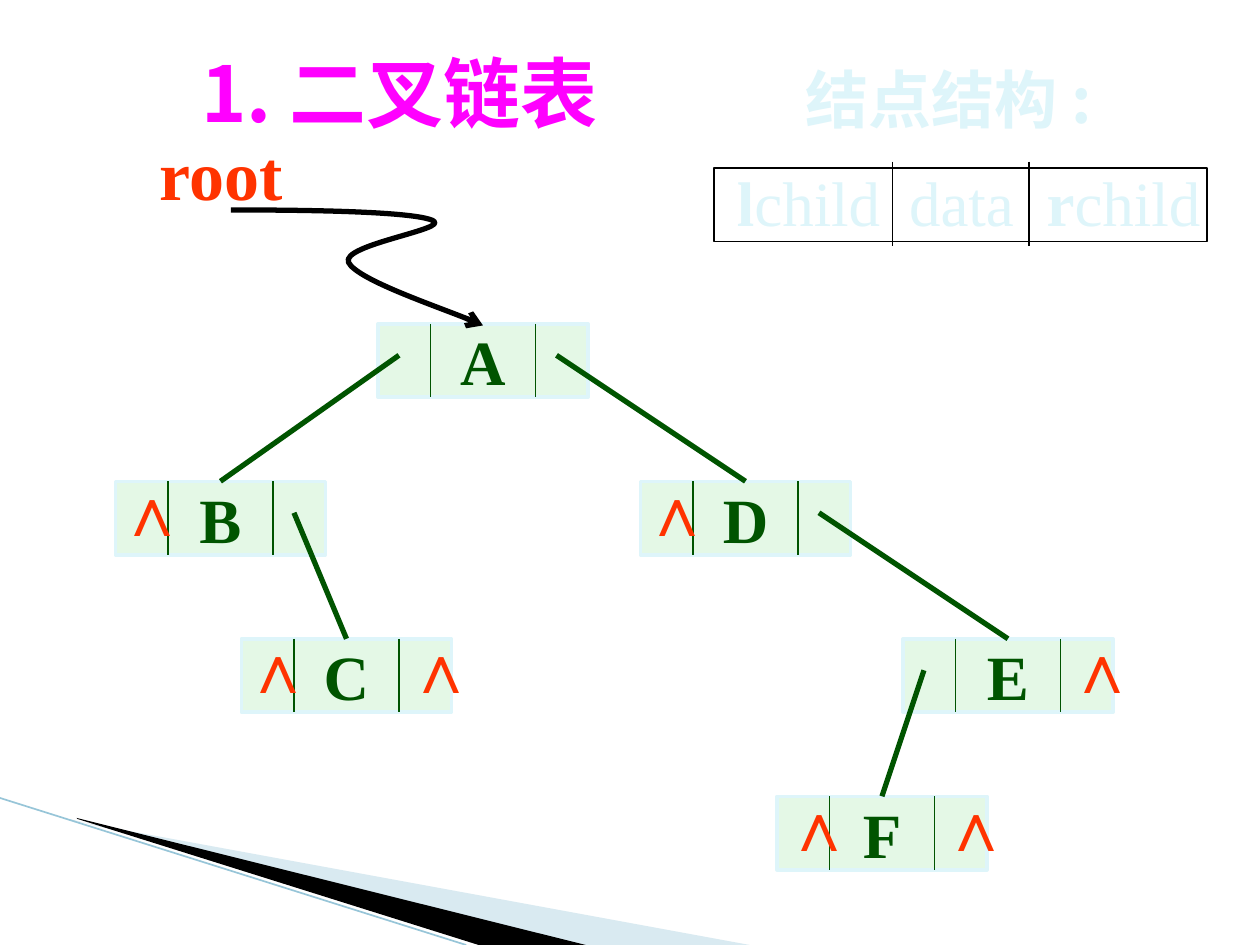
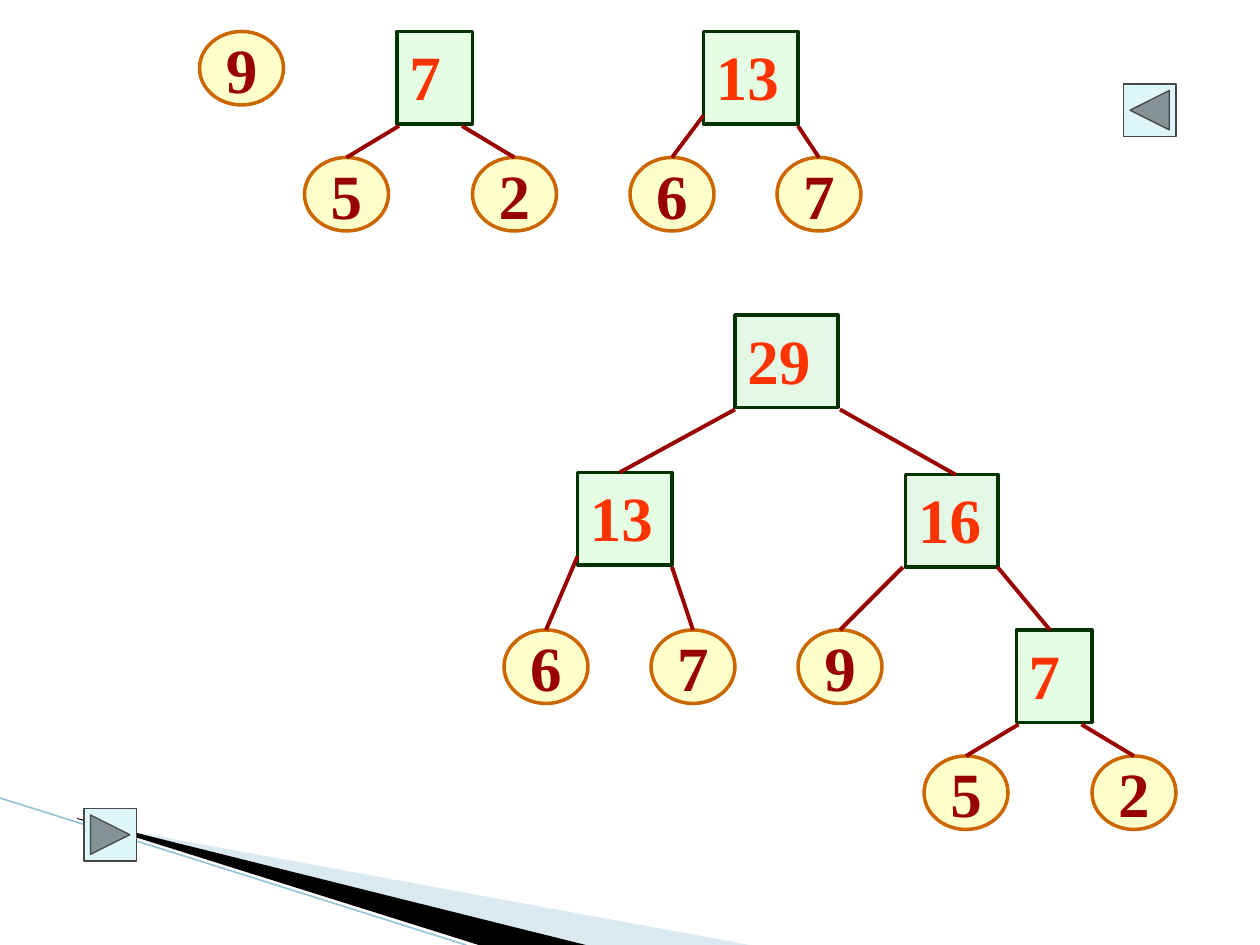
import dataclasses

import lxml.etree
import pptx
import pptx.dml.color
import pptx.enum.shapes
import pptx.enum.text
import pptx.oxml.ns
import pptx.util

RGBColor = pptx.dml.color.RGBColor
Cm = pptx.util.Cm
SHAPES = pptx.enum.shapes.MSO_SHAPE
ALIGN = pptx.enum.text.PP_ALIGN
ANCHOR = pptx.enum.text.MSO_ANCHOR
qn = pptx.oxml.ns.qn

# Colours
BLACK = RGBColor(0x00, 0x00, 0x00)
PALE_BLUE = RGBColor(0xDE, 0xF5, 0xFA)
WEDGE_BLUE = RGBColor(0xA0, 0xCB, 0xDC)
WEDGE_LINE = RGBColor(0x97, 0xC5, 0xD8)
GREEN = RGBColor(0x00, 0x54, 0x00)
NODE_GREEN = RGBColor(0xCA, 0xF2, 0xCE)
SUM_GREEN = RGBColor(0xCC, 0xFF, 0xCC)
SUM_LINE = RGBColor(0x00, 0x33, 0x00)
RED = RGBColor(0xFF, 0x33, 0x00)
DARK_RED = RGBColor(0x99, 0x00, 0x00)
LEAF_YELLOW = RGBColor(0xFF, 0xFF, 0x99)
LEAF_LINE = RGBColor(0xCC, 0x66, 0x00)
MAGENTA = RGBColor(0xFF, 0x00, 0xFF)
BUTTON_LINE = RGBColor(0x46, 0x46, 0x46)

SERIF = "Times New Roman"
HEITI = "Noto Sans CJK SC"

Point = tuple[float, float]


def grid(steps: float) -> int:
    """Both slides sit on a grid of 120 by 90 steps."""
    return Cm(25.4 * steps / 120)


@dataclasses.dataclass(frozen=True)
class Box:
    left: float
    top: float
    width: float
    height: float

    def lengths(self) -> list[int]:
        return [grid(n) for n in (self.left, self.top, self.width, self.height)]


@dataclasses.dataclass(frozen=True)
class Look:
    fill: RGBColor | None
    line: RGBColor | None
    points: float = 1
    opacity: int = 100


@dataclasses.dataclass(frozen=True)
class Type:
    color: RGBColor
    size: int = 36
    font: str = SERIF
    bold: bool = True


@dataclasses.dataclass(frozen=True)
class ListNode:
    label: str
    left: float
    level: int
    nulls: tuple[float, ...] = ()  # offsets of the empty-pointer marks

    @property
    def top(self) -> float:
        return 30.84 + 15 * self.level


@dataclasses.dataclass(frozen=True)
class Leaf:
    label: str
    left: float
    top: float
    tip: float = 4


@dataclasses.dataclass(frozen=True)
class Sum:
    label: str
    left: float
    top: float
    width: float
    fill: RGBColor
    ports: tuple[Point, Point]
    children: tuple["Leaf | Sum", "Leaf | Sum"]
    tip: float = 4


NODE_LOOK = Look(NODE_GREEN, PALE_BLUE, 2, 50)
LEAF_LOOK = Look(LEAF_YELLOW, LEAF_LINE, 2, 50)
BUTTON_LOOK = Look(PALE_BLUE, BUTTON_LINE, 0.75)


# Drawing tools
def dress(shape, look: Look) -> None:
    shape.shadow.inherit = False
    if look.fill is None:
        shape.fill.background()
    else:
        shape.fill.solid()
        shape.fill.fore_color.rgb = look.fill
        if look.opacity < 100:
            tint = shape._element.spPr.find(f"{qn('a:solidFill')}/{qn('a:srgbClr')}")
            alpha = lxml.etree.SubElement(tint, qn("a:alpha"))
            alpha.set("val", str(look.opacity * 1000))
    if look.line is None:
        shape.line.fill.background()
    else:
        shape.line.color.rgb = look.line
        shape.line.width = pptx.util.Pt(look.points)


def write(paragraph, text: str, style: Type) -> None:
    run = paragraph.add_run()
    run.text = text
    formats = {"name": style.font, "size": pptx.util.Pt(style.size), "bold": style.bold}
    for name, value in formats.items():
        setattr(run.font, name, value)
    run.font.color.rgb = style.color
    if style.font == HEITI:
        east_asian = lxml.etree.SubElement(run.font._element, qn("a:ea"))
        east_asian.set("typeface", HEITI)


def add_figure(slide, kind, box: Box, look: Look):
    figure = slide.shapes.add_shape(kind, *box.lengths())
    dress(figure, look)
    return figure


def add_centred(slide, kind, box: Box, look: Look, label: str, style: Type) -> None:
    frame = add_figure(slide, kind, box, look).text_frame
    frame.word_wrap = False
    frame.vertical_anchor = ANCHOR.MIDDLE
    frame.paragraphs[0].alignment = ALIGN.CENTER
    write(frame.paragraphs[0], label, style)


def add_text(slide, box: Box, text: str, style: Type, wrap: bool = False):
    frame = slide.shapes.add_textbox(*box.lengths()).text_frame
    frame.word_wrap = wrap
    frame.auto_size = pptx.enum.text.MSO_AUTO_SIZE.SHAPE_TO_FIT_TEXT
    if text:
        write(frame.paragraphs[0], text, style)
    return frame.paragraphs[0]


def add_line(slide, start: Point, end: Point, color: RGBColor, points: float) -> None:
    ends = [grid(n) for n in (*start, *end)]
    line = slide.shapes.add_connector(pptx.enum.shapes.MSO_CONNECTOR.STRAIGHT, *ends)
    line.line.color.rgb = color
    line.line.width = pptx.util.Pt(points)
    lxml.etree.SubElement(line._element.spPr, qn("a:effectLst"))


def add_outline(slide, corners: list[Point], look: Look, close: bool = True):
    first, *rest = [(grid(x), grid(y)) for x, y in corners]
    builder = slide.shapes.build_freeform(*first)
    builder.add_line_segments(rest, close=close)
    outline = builder.convert_to_shape()
    dress(outline, look)
    return outline


def add_curved_arrow(slide, controls: list[Point], color: RGBColor, points: float) -> None:
    arrow = add_outline(slide, controls, Look(None, color, points), close=False)
    steps = list(arrow._element.iter(qn("a:lnTo")))
    # Every three straight steps become one Bézier segment
    for first, second, third in zip(steps[::3], steps[1::3], steps[2::3]):
        curve = lxml.etree.Element(qn("a:cubicBezTo"))
        first.addprevious(curve)
        for step in (first, second, third):
            curve.append(step[0])
            step.getparent().remove(step)
    outline = arrow._element.spPr.find(qn("a:ln"))
    lxml.etree.SubElement(outline, qn("a:tailEnd")).set("type", "arrow")


def add_backdrop(slide) -> None:
    """Wedges and line in the bottom left corner of every slide."""
    add_outline(slide, [(6.6, 78.1), (71.4, 90), (54.7, 90), (6.6, 78)],
                Look(WEDGE_BLUE, None, opacity=40))
    add_outline(slide, [(7.3, 77.9), (55.8, 90), (45.6, 90), (7.4, 78)],
                Look(BLACK, None))
    add_line(slide, (0, 76), (44.4, 90), WEDGE_LINE, 0.95)


# Slide 1: binary linked list
LIST_NODES = {node.label: node for node in (
    ListNode("A", 36, 0),
    ListNode("D", 61, 1, (-1,)),
    ListNode("E", 86, 2, (14.5,)),
    ListNode("B", 11, 1, (-1,)),
    ListNode("C", 23, 2, (-1, 14.5)),
    ListNode("F", 74, 3, (-0.5, 14.5)),
)}
LEFT_POINTER, RIGHT_POINTER = 2, 17
POINTERS = [("A", LEFT_POINTER, "B"), ("A", RIGHT_POINTER, "D"),
            ("B", RIGHT_POINTER, "C"), ("D", RIGHT_POINTER, "E"),
            ("E", LEFT_POINTER, "F")]
ROOT_CURVE = [(22, 20), (30.7, 20), (39.4, 20.2), (41.2, 21), (43.1, 21.8),
              (32.4, 23.3), (33.2, 25), (34, 26.6), (43.9, 30), (46, 31)]


def add_list_node(slide, node: ListNode) -> None:
    add_centred(slide, SHAPES.RECTANGLE, Box(node.left, node.top, 20, 7),
                NODE_LOOK, node.label, Type(GREEN))
    for divider in (node.left + 5, node.left + 15):
        add_line(slide, (divider, node.top), (divider, node.top + 7), GREEN, 1)
    for offset in node.nulls:
        add_text(slide, Box(node.left + offset, node.top - 2, 6.5, 9.2),
                 "∧", Type(RED, 40))


def add_node_structure(slide) -> None:
    add_text(slide, Box(75.5, 5.2, 33, 10), "结点结构 :", Type(PALE_BLUE, font=HEITI))
    fields = add_text(slide, Box(69, 15, 48, 8.4), "", Type(PALE_BLUE), wrap=True)
    tabs = lxml.etree.SubElement(fields._p.get_or_add_pPr(), qn("a:tabLst"))
    for stop in (16.4, 29.5):
        lxml.etree.SubElement(tabs, qn("a:tab"), pos=str(int(grid(stop))), algn="l")
    for text, bold in (("l", True), ("child\tdata\t", False), ("r", True), ("child", False)):
        write(fields, text, Type(PALE_BLUE, bold=bold))
    add_figure(slide, SHAPES.RECTANGLE, Box(68, 16, 47, 7), Look(None, BLACK))
    for divider in (85, 98):
        add_line(slide, (divider, 15.4), (divider, 23.4), BLACK, 1)


def build_linked_list(slide) -> None:
    add_backdrop(slide)
    for node in LIST_NODES.values():
        add_list_node(slide, node)
    for parent, pointer, child in POINTERS:
        source, target = LIST_NODES[parent], LIST_NODES[child]
        add_line(slide, (source.left + pointer, source.top + 3),
                 (target.left + 10, target.top), GREEN, 3)
    add_curved_arrow(slide, ROOT_CURVE, BLACK, 3)
    add_text(slide, Box(14, 11.8, 14.3, 9.2), "root", Type(RED, 40))
    add_node_structure(slide)
    title = add_text(slide, Box(18, 2, 42.8, 11.8), "1. 二叉链表", Type(MAGENTA, 44, HEITI))
    title.line_spacing = 1.2


# Slide 2: merging weighted trees
def seven(left: float, top: float) -> Sum:
    leaves = (Leaf("5", left - 8.8, top + 12), Leaf("2", left + 7.2, top + 12))
    return Sum("7", left, top, 7.2, SUM_GREEN, ((0.2, 9), (6.2, 9)), leaves, tip=3.2)


def thirteen(left: float, top: float, drop: float) -> Sum:
    leaves = (Leaf("6", left - 7, top + drop), Leaf("7", left + 7, top + drop))
    return Sum("13", left, top, 9, SUM_GREEN, ((0, 8), (9, 9)), leaves)


SIXTEEN = Sum("16", 86.25, 45.2, 8.8, NODE_GREEN, ((-0.25, 8.8), (8.75, 8.8)),
              (Leaf("9", 76, 60), seven(96.8, 60)), tip=4.75)
TWENTY_NINE = Sum("29", 70, 30, 9.8, NODE_GREEN, ((0, 9), (10, 9)),
                  (thirteen(55, 45, drop=15), SIXTEEN))
FOREST = [Leaf("9", 19, 3), seven(37.8, 3), thirteen(67, 3, drop=12), TWENTY_NINE]


def add_tree(slide, tree: Leaf | Sum) -> None:
    if isinstance(tree, Leaf):
        add_centred(slide, SHAPES.OVAL, Box(tree.left, tree.top, 8, 7),
                    LEAF_LOOK, tree.label, Type(DARK_RED))
        return
    frame = add_figure(slide, SHAPES.RECTANGLE, Box(tree.left, tree.top, tree.width, 8.8),
                       Look(tree.fill, SUM_LINE, 2, 50)).text_frame
    frame.word_wrap = True
    frame.vertical_anchor = ANCHOR.TOP
    frame.paragraphs[0].alignment = ALIGN.LEFT
    write(frame.paragraphs[0], tree.label, Type(RED))
    for (across, down), child in zip(tree.ports, tree.children):
        add_tree(slide, child)
        add_line(slide, (tree.left + across, tree.top + down),
                 (child.left + child.tip, child.top), DARK_RED, 2.25)


def build_weighted_trees(slide) -> None:
    add_backdrop(slide)
    for tree in FOREST:
        add_tree(slide, tree)
    add_figure(slide, SHAPES.ACTION_BUTTON_BACK_OR_PREVIOUS, Box(107, 8, 5, 5), BUTTON_LOOK)
    add_figure(slide, SHAPES.ACTION_BUTTON_FORWARD_OR_NEXT, Box(8, 77, 5, 5), BUTTON_LOOK)


def main() -> None:
    deck = pptx.Presentation()
    deck.slide_width, deck.slide_height = Cm(25.4), Cm(19.05)
    for build in (build_linked_list, build_weighted_trees):
        build(deck.slides.add_slide(deck.slide_layouts[6]))
    deck.save("out.pptx")


if __name__ == "__main__":
    main()
